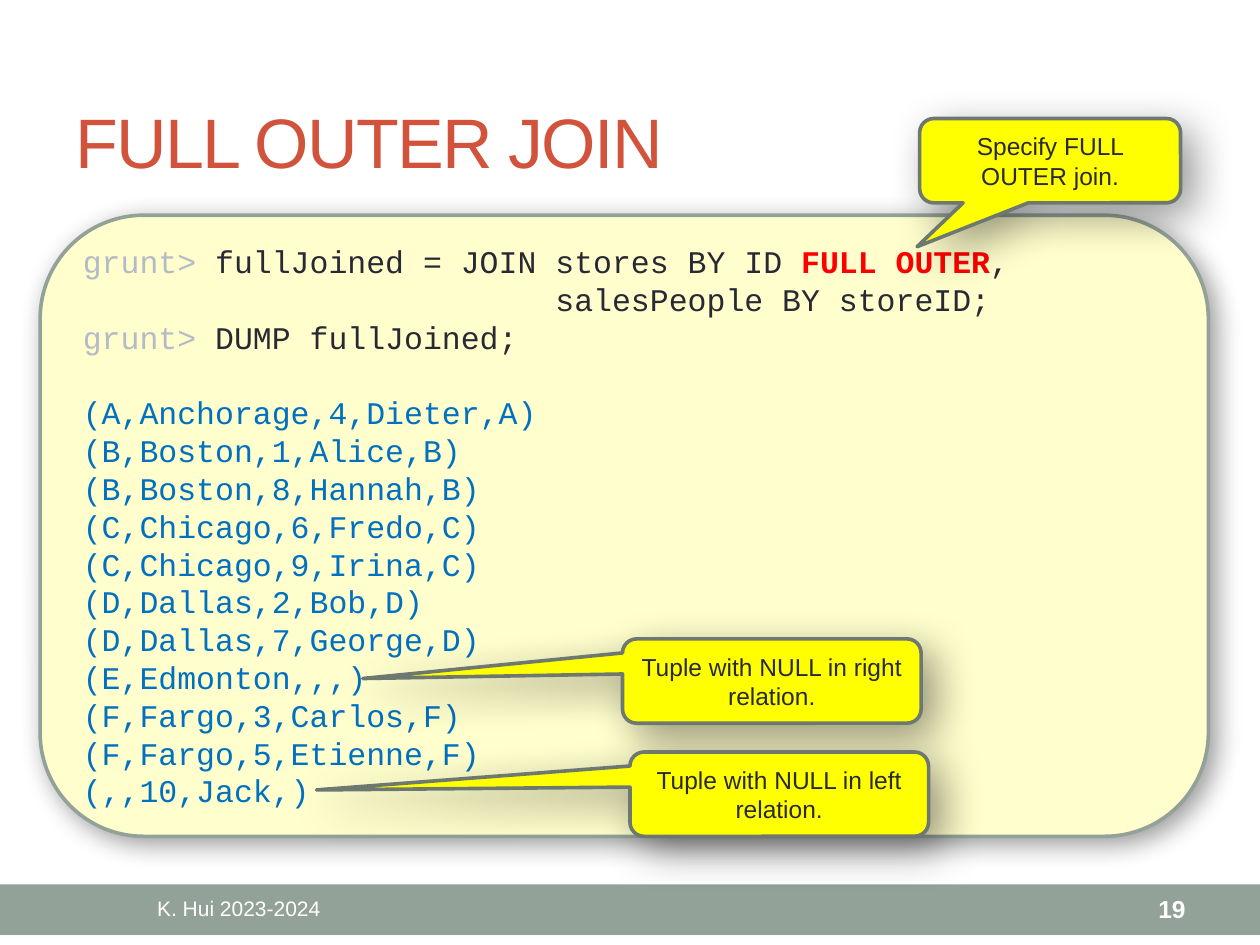
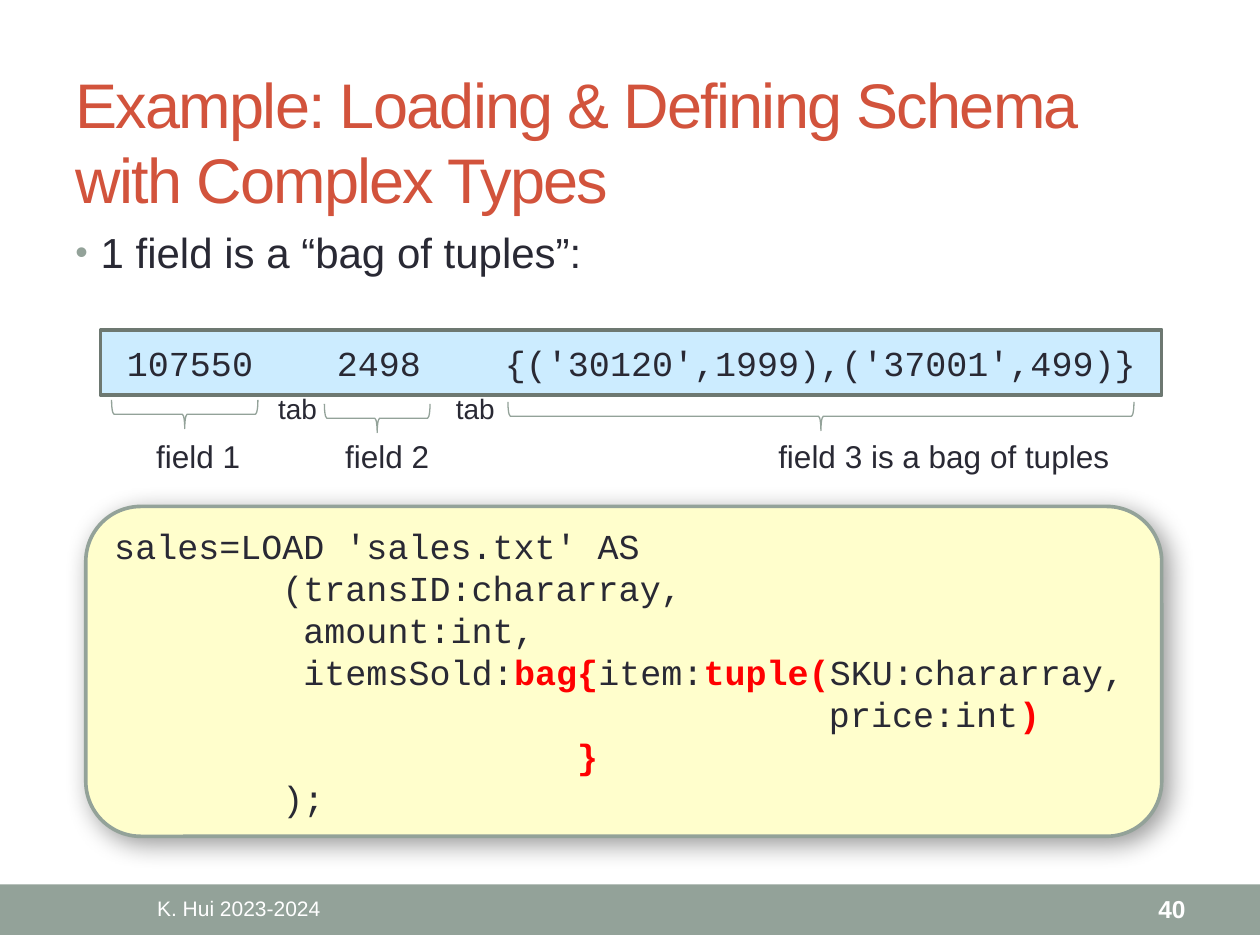
from lxml.etree import SubElement
from pptx import Presentation
from pptx.dml.color import RGBColor
from pptx.enum.shapes import MSO_SHAPE
from pptx.enum.text import MSO_ANCHOR, MSO_AUTO_SIZE, PP_ALIGN
from pptx.oxml.ns import qn
from pptx.util import Cm, Pt

SAGE = RGBColor(0x93, 0xA2, 0x99)
MOSS = RGBColor(0x6D, 0x78, 0x71)
RUST = RGBColor(0xD2, 0x53, 0x3C)
INK = RGBColor(0x29, 0x29, 0x34)
MIST = RGBColor(0xB3, 0xBB, 0xC6)
BLUE = RGBColor(0x00, 0x70, 0xC0)
RED = RGBColor(0xFF, 0x00, 0x00)
WHITE = RGBColor(0xFF, 0xFF, 0xFF)
CREAM = RGBColor(0xFF, 0xFE, 0xCC)
SKY = RGBColor(0xCC, 0xEC, 0xFF)
YELLOW = RGBColor(0xFF, 0xFF, 0x00)
SANS, MONO = "Arial", "Courier New"
LEFT, MID, RIGHT = PP_ALIGN.LEFT, PP_ALIGN.CENTER, PP_ALIGN.RIGHT


class Deck:
    def __init__(self):
        self.prs = Presentation()
        self.prs.slide_width, self.prs.slide_height = Cm(25.4), Cm(19.05)
        self.slide = None

    def run(self, para, text, size, color=INK, font=SANS, bold=False):
        run = para.add_run()
        run.text = text
        run.font.size, run.font.name, run.font.bold = Pt(size), font, bold
        run.font.color.rgb = color
        return run

    def start(self, title, size, page):
        """Add a slide with its title, band and footer."""
        self.slide = self.prs.slides.add_slide(self.prs.slide_layouts[5])
        head = self.slide.shapes.title
        head.left, head.top, head.width, head.height = map(
            Cm, (1.27, 1.47, 22.86, 2.74))
        frame = head.text_frame
        frame.auto_size = MSO_AUTO_SIZE.NONE
        frame.vertical_anchor = MSO_ANCHOR.MIDDLE
        para = frame.paragraphs[0]
        para.alignment = LEFT
        run = self.run(para, title, size, RUST)
        run.font._element.set("spc", "-100")
        self.shape(MSO_SHAPE.RECTANGLE, (0, 17.83, 25.4, 1.02), SAGE)
        foot = {"color": WHITE, "anchor": MSO_ANCHOR.MIDDLE, "wrap": True}
        self.text("K. Hui 2023-2024", (1.27, 17.86, 7.09, 0.91), 12,
                  align=MID, **foot)
        self.text(str(page), (21.18, 17.86, 2.97, 0.91), 14,
                  align=RIGHT, bold=True, **foot)

    def shape(self, kind, box, fill=None, line=None, width=2.08, shade=None):
        """Add a preset shape; shade is the shadow's blur and distance."""
        item = self.slide.shapes.add_shape(kind, *map(Cm, box))
        item.shadow.inherit = False
        if fill is None:
            item.fill.background()
        else:
            item.fill.solid()
            item.fill.fore_color.rgb = fill
        if line is None:
            item.line.fill.background()
        else:
            item.line.color.rgb = line
            item.line.width = Pt(width)
        if shade:
            blur, dist = shade
            glow = SubElement(
                item._element.spPr.find(qn("a:effectLst")),
                qn("a:outerShdw"), blurRad=str(Pt(blur)), dist=str(Pt(dist)),
                dir="2700000", algn="tl", rotWithShape="0")
            tint = SubElement(glow, qn("a:srgbClr"), val="000000")
            SubElement(tint, qn("a:alpha"), val="40000")
        frame = item.text_frame
        frame.word_wrap = True
        frame.vertical_anchor = MSO_ANCHOR.MIDDLE
        return item

    def text(self, text, box, size, align=LEFT, color=INK, bold=False,
             anchor=MSO_ANCHOR.TOP, wrap=False):
        frame = self.slide.shapes.add_textbox(*map(Cm, box)).text_frame
        frame.word_wrap, frame.vertical_anchor = wrap, anchor
        para = frame.paragraphs[0]
        para.alignment = align
        self.run(para, text, size, color, bold=bold)
        return para

    def bullet(self, text, box, size):
        para = self.text(text, box, size, wrap=True)
        props = para._p.get_or_add_pPr()
        props.set("marL", str(Cm(0.51)))
        props.set("indent", str(-Cm(0.51)))
        tint = SubElement(props, qn("a:buClr"))
        SubElement(tint, qn("a:srgbClr"), val=str(SAGE))
        SubElement(props, qn("a:buSzPct"), val="85000")
        SubElement(props, qn("a:buFont"), typeface=SANS)
        SubElement(props, qn("a:buChar"), char="•")

    def code(self, box, size, *blocks):
        """Add a code panel; blocks of lines are one line apart."""
        panel = self.shape(MSO_SHAPE.ROUNDED_RECTANGLE, box, CREAM, SAGE,
                           shade=(15, 5))
        frame = panel.text_frame
        para = frame.paragraphs[0]
        for b, block in enumerate(blocks):
            for n, line in enumerate(block):
                if b or n:
                    para = frame.add_paragraph()
                if b and not n:
                    para.space_before = Pt(size * 1.2)
                para.alignment = LEFT
                for text, color in line:
                    self.run(para, text, size, color, MONO, color == RED)

    def note(self, text, box, tip):
        """Add a callout whose tip is an offset from its centre."""
        item = self.shape(MSO_SHAPE.ROUNDED_RECTANGULAR_CALLOUT, box,
                          YELLOW, MOSS, shade=(24, 10))
        item.adjustments[0], item.adjustments[1] = tip
        para = item.text_frame.paragraphs[0]
        para.alignment = MID
        self.run(para, text, 14)

    def record(self, fields, stops, box, size):
        """Add a bar with fields set at tab stops counted in characters."""
        frame = self.shape(MSO_SHAPE.RECTANGLE, box, SKY, MOSS).text_frame
        frame.margin_left = Cm(0.53)
        para = frame.paragraphs[0]
        para.alignment = LEFT
        tabs = SubElement(para._p.get_or_add_pPr(), qn("a:tabLst"))
        for stop in stops:
            SubElement(tabs, qn("a:tab"), pos=str(Pt(stop * size * 0.6)),
                       algn="l")
        self.run(para, "\t".join(fields), size, font=MONO)

    def brace(self, left, top, span):
        """Add a brace that lies flat and points down."""
        deep = 0.58
        box = (left + (span - deep) / 2, top + (deep - span) / 2, deep, span)
        self.shape(MSO_SHAPE.LEFT_BRACE, box, line=SAGE,
                   width=0.75).rotation = 270


def join(deck):
    deck.start("FULL OUTER JOIN", 40, 19)
    rows = ("(A,Anchorage,4,Dieter,A)", "(B,Boston,1,Alice,B)",
            "(B,Boston,8,Hannah,B)", "(C,Chicago,6,Fredo,C)",
            "(C,Chicago,9,Irina,C)", "(D,Dallas,2,Bob,D)",
            "(D,Dallas,7,George,D)", "(E,Edmonton,,,)",
            "(F,Fargo,3,Carlos,F)", "(F,Fargo,5,Etienne,F)", "(,,10,Jack,)")
    prompt = ("grunt> ", MIST)
    query = [
        [prompt, ("fullJoined = JOIN stores BY ID ", INK),
         ("FULL OUTER", RED), (",", INK)],
        [("                         salesPeople BY storeID;", INK)],
        [prompt, ("DUMP fullJoined;", INK)]]
    deck.code((0.81, 4.34, 23.55, 12.52), 18, query,
              [[(row, BLUE)] for row in rows])
    deck.note("Specify FULL OUTER join.", (18.54, 2.39, 5.26, 1.7),
              (-0.51, 1.02))
    deck.note("Tuple with NULL in right relation.",
              (12.55, 12.88, 6.02, 1.7), (-1.37, -0.03))
    deck.note("Tuple with NULL in left relation.",
              (12.7, 15.16, 6.02, 1.7), (-1.55, -0.05))


def schema(deck):
    deck.start("Example: Loading & Defining Schema with Complex Types", 36, 40)
    deck.bullet("1 field is a “bag of tuples”:", (1.27, 4.45, 22.86, 1.88), 24)
    deck.record(("107550", "2498", "{('30120',1999),('37001',499)}"),
                (10, 18), (2.03, 6.65, 21.39, 1.32), 20)
    for left in (5.36, 8.94):
        deck.text("tab", (left, 7.77, 1.3, 0.94), 16)
    for brace, label, left, width in (
            ((2.25, 8.06, 2.95), "field 1", 2.9, 2.24),
            ((6.54, 8.14, 2.13), "field 2", 6.71, 2.24),
            ((10.24, 8.1, 12.62), "field 3 is a bag of tuples", 15.44, 7.24)):
        deck.brace(*brace)
        deck.text(label, (left, 8.69, width, 1.02), 18)
    deck.code((1.73, 10.21, 21.69, 6.65), 20, [
        [("sales=LOAD 'sales.txt' AS", INK)],
        [("        (transID:chararray,", INK)],
        [("         amount:int,", INK)],
        [("         itemsSold:", INK), ("bag{", RED), ("item:", INK),
         ("tuple(", RED), ("SKU:chararray,", INK)],
        [("                                  price:int", INK), (")", RED)],
        [("                      ", INK), ("}", RED)],
        [("        );", INK)]])


def main():
    deck = Deck()
    join(deck)
    schema(deck)
    deck.prs.save("out.pptx")


if __name__ == "__main__":
    main()
